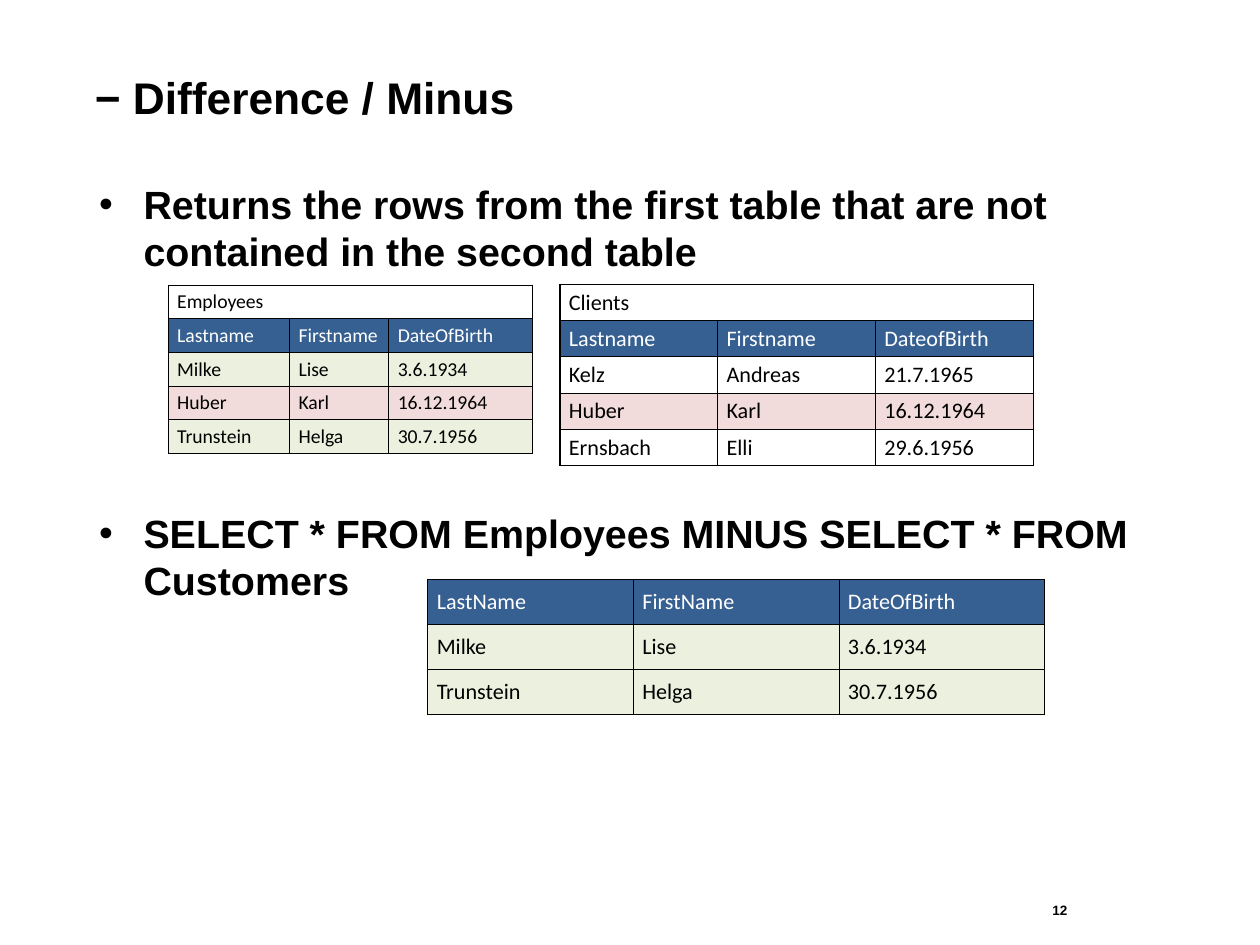
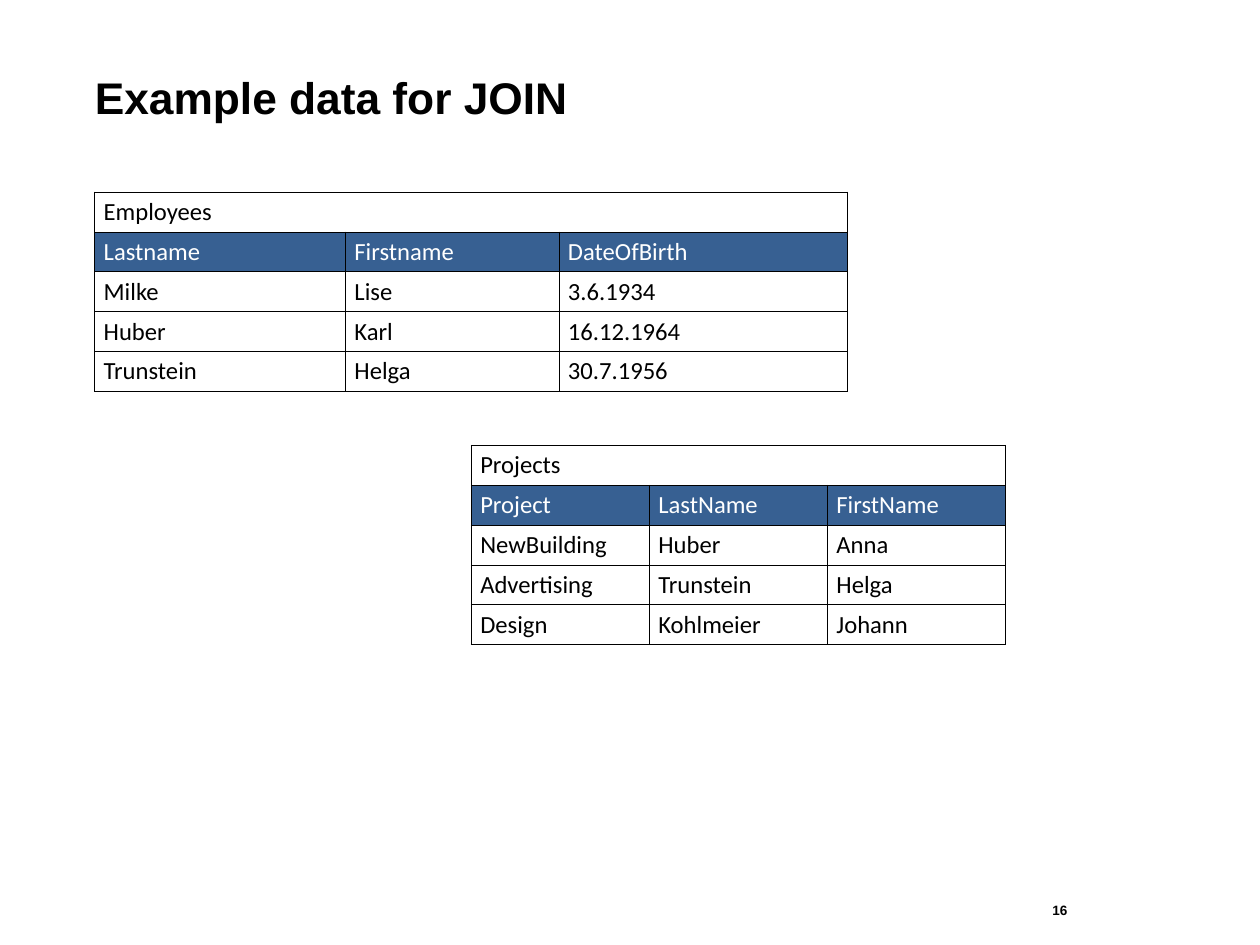
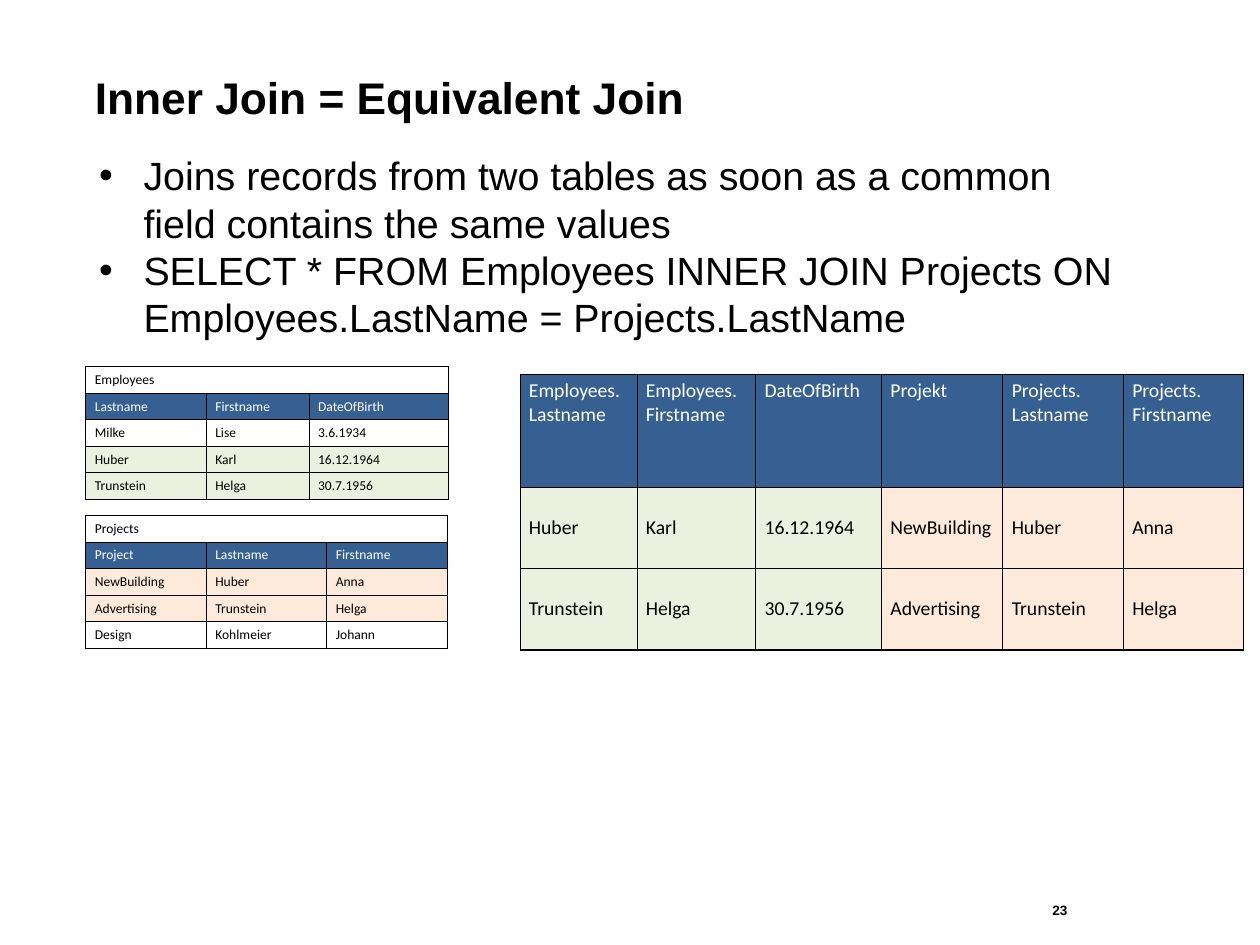
"""Build three slides on SQL set difference and joins."""
from dataclasses import dataclass

from pptx import Presentation
from pptx.dml.color import RGBColor
from pptx.enum.text import MSO_ANCHOR as Anchor, MSO_AUTO_SIZE as AutoSize
from pptx.oxml.ns import qn
from pptx.slide import Slide
from pptx.text.text import TextFrame, _Paragraph as Paragraph
from pptx.util import Inches, Pt
from lxml.etree import SubElement

COLORS = {
    "black": "000000",
    "white": "FFFFFF",
    "header": "376092",
    "green": "EBF1DE",
    "red": "F2DCDB",
    "orange": "FDEADA",
}
TITLE = {"name": "Arial", "size": Pt(36), "bold": True}
BODY = {"name": "Arial", "size": Pt(32), "bold": False}
BOLD_BODY = {**BODY, "bold": True}
PAGE = {"name": "Arial", "size": Pt(11), "bold": True}

PERSON = ("Lastname", "Firstname", "DateOfBirth")
MILKE = ("Milke", "Lise", "3.6.1934")
HUBER = ("Huber", "Karl", "16.12.1964")
TRUNSTEIN = ("Trunstein", "Helga", "30.7.1956")
BUILDING = ("NewBuilding", "Huber", "Anna")
ADVERTISING = ("Advertising", "Trunstein", "Helga")
DESIGN = ("Design", "Kohlmeier", "Johann")


@dataclass(frozen=True)
class Row:
    """Cell texts, with fills shared out evenly across the columns."""
    cells: tuple[str, ...]
    fills: tuple[str, ...] = ("",)

    def fill(self, col: int) -> str:
        """Return the colour name for one column."""
        return self.fills[col * len(self.fills) // len(self.cells)]


@dataclass(frozen=True)
class Grid:
    """A table whose single-cell rows span its full width."""
    left: float
    top: float
    cols: tuple[float, ...]
    heights: tuple[float, ...]
    size: int
    rows: tuple[Row, ...]
    header_anchor: Anchor = Anchor.MIDDLE


@dataclass(frozen=True)
class Body:
    """A bulleted text block."""
    top: float
    width: float
    height: float
    fmt: dict
    gap: float
    bullets: tuple[str, ...]


@dataclass(frozen=True)
class Page:
    """The content of one slide."""
    number: int
    title: str
    grids: tuple[Grid, ...]
    body: Body | None = None


def header(*cells: str) -> Row:
    """Return a column heading row."""
    return Row(cells, ("header",))


def caption(text: str) -> Row:
    """Return a table name row."""
    return Row((text,))


PAGES = (
    Page(12, "− Difference / Minus", (
        Grid(4.83, 6.54, (2.32,) * 3, (0.51,) * 3, 18, (
            header("LastName", "FirstName", "DateOfBirth"),
            Row(MILKE, ("green",)),
            Row(TRUNSTEIN, ("green",)),
        )),
        Grid(1.9, 3.22, (1.37, 1.12, 1.62), (0.38,) * 5, 16, (
            caption("Employees"),
            header(*PERSON),
            Row(MILKE, ("green",)),
            Row(HUBER, ("red",)),
            Row(TRUNSTEIN, ("green",)),
        )),
        Grid(6.32, 3.21, (1.78,) * 3, (0.41,) * 5, 18, (
            caption("Clients"),
            header("Lastname", "Firstname", "DateofBirth"),
            Row(("Kelz", "Andreas", "21.7.1965")),
            Row(HUBER, ("red",)),
            Row(("Ernsbach", "Elli", "29.6.1956")),
        )),
    ), Body(2.03, 11.74, 4.85, BOLD_BODY, 191, (
        "Returns the rows from the first table that are not contained in the second table",
        "SELECT * FROM Employees MINUS SELECT * FROM Customers",
    ))),
    Page(16, "Example data for JOIN", (
        Grid(1.07, 2.17, (2.83, 2.41, 3.26), (0.45,) * 5, 20, (
            caption("Employees"),
            header(*PERSON),
            Row(MILKE),
            Row(HUBER),
            Row(TRUNSTEIN),
        )),
        Grid(5.32, 5.03, (2.01,) * 3, (0.45,) * 5, 20, (
            caption("Projects"),
            header("Project", "LastName", "FirstName"),
            Row(BUILDING),
            Row(ADVERTISING),
            Row(DESIGN),
        )),
    )),
    Page(23, "Inner Join = Equivalent Join", (
        Grid(5.87, 4.23, (1.32, 1.34, 1.42, 1.37, 1.36, 1.36), (1.27, 0.92, 0.92), 16, (
            header("Employees.\vLastname", "Employees.\vFirstname", "DateOfBirth",
                   "Projekt", "Projects.\vLastname", "Projects.\vFirstname"),
            Row(HUBER + BUILDING, ("green", "orange")),
            Row(TRUNSTEIN + ADVERTISING, ("green", "orange")),
        ), Anchor.TOP),
        Grid(0.97, 4.14, (1.36, 1.16, 1.57), (0.3,) * 5, 11, (
            caption("Employees"),
            header(*PERSON),
            Row(MILKE),
            Row(HUBER, ("green",)),
            Row(TRUNSTEIN, ("green",)),
        )),
        Grid(0.97, 5.82, (1.36,) * 3, (0.3,) * 5, 11, (
            caption("Projects"),
            header("Project", "Lastname", "Firstname"),
            Row(BUILDING, ("orange",)),
            Row(ADVERTISING, ("orange",)),
            Row(DESIGN),
        )),
    ), Body(1.71, 11.66, 2.15, BODY, 0, (
        "Joins records from two tables as soon as a common field contains the same values",
        "SELECT * FROM Employees INNER JOIN Projects ON Employees.LastName = Projects.LastName",
    ))),
)


def rgb(name: str) -> RGBColor:
    """Return a named colour."""
    return RGBColor.from_string(COLORS[name])


def write(p: Paragraph, text: str, fmt: dict, color: str = "black") -> None:
    """Put formatted text into a paragraph."""
    p.text = text
    for r in p.runs:
        for key, value in fmt.items():
            setattr(r.font, key, value)
        r.font.color.rgb = rgb(color)


def add_box(s: Slide, left: float, top: float, width: float, height: float,
            inset: bool = False) -> TextFrame:
    """Add a wrapping text box and return its frame."""
    sp = s.shapes.add_textbox(*map(Inches, (left, top, width, height)))
    tf = sp.text_frame
    tf.word_wrap = True
    tf.auto_size = AutoSize.SHAPE_TO_FIT_TEXT
    if not inset:
        for side in ("left", "top", "right", "bottom"):
            setattr(tf, f"margin_{side}", 0)
    return tf


def add_body(s: Slide, body: Body) -> None:
    """Draw the bulleted text."""
    tf = add_box(s, 1.12, body.top, body.width, body.height)
    for i, text in enumerate(body.bullets):
        p = tf.add_paragraph() if i else tf.paragraphs[0]
        props = p._p.get_or_add_pPr()
        props.set("marL", str(Inches(0.5)))
        props.set("indent", str(Inches(-0.5)))
        SubElement(props, qn("a:buFont"), typeface="Arial")
        SubElement(props, qn("a:buChar"), char="•")
        if i:
            p.space_before = Pt(body.gap)
        write(p, text, body.fmt)


def add_grid(s: Slide, grid: Grid) -> None:
    """Draw a bordered table."""
    frame = s.shapes.add_table(len(grid.rows), len(grid.cols), *map(
        Inches, (grid.left, grid.top, sum(grid.cols), sum(grid.heights))))
    table = frame.table
    table.first_row = table.horz_banding = False
    for col, width in zip(table.columns, grid.cols):
        col.width = Inches(width)
    for line, height in zip(table.rows, grid.heights):
        line.height = Inches(height)
    fmt = {"name": "Calibri", "size": Pt(grid.size), "bold": False}
    for i, row in enumerate(grid.rows):
        for j in range(len(grid.cols)):
            cell = table.cell(i, j)
            props = cell._tc.get_or_add_tcPr()
            for edge in ("L", "R", "T", "B"):
                ln = SubElement(props, qn(f"a:ln{edge}"), w=str(Pt(1)))
                fill = SubElement(ln, qn("a:solidFill"))
                SubElement(fill, qn("a:srgbClr"), val=COLORS["black"])
            if j >= len(row.cells):
                cell.fill.background()
                continue
            name = row.fill(j)
            is_header = name == "header"
            cell.vertical_anchor = grid.header_anchor if is_header else Anchor.MIDDLE
            cell.margin_left = cell.margin_right = Inches(0.1)
            if name:
                cell.fill.solid()
                cell.fill.fore_color.rgb = rgb(name)
            else:
                cell.fill.background()
            write(cell.text_frame.paragraphs[0], row.cells[j], fmt,
                  "white" if is_header else "black")
        if len(row.cells) == 1:
            table.cell(i, 0).merge(table.cell(i, len(grid.cols) - 1))


def add_page(prs: Presentation, page: Page) -> None:
    """Add one slide with its page number, title, text and tables."""
    s = prs.slides.add_slide(prs.slide_layouts[6])
    write(add_box(s, 11.78, 10.14, 1.83, 0.29, True).paragraphs[0], str(page.number), PAGE)
    write(add_box(s, 1.07, 0.79, 12.08, 0.63).paragraphs[0], page.title, TITLE)
    if page.body:
        add_body(s, page.body)
    for grid in page.grids:
        add_grid(s, grid)


def main() -> None:
    """Build and save the presentation."""
    prs = Presentation()
    prs.slide_width, prs.slide_height = Inches(14.22), Inches(10.67)
    for page in PAGES:
        add_page(prs, page)
    prs.save("out.pptx")


if __name__ == "__main__":
    main()
